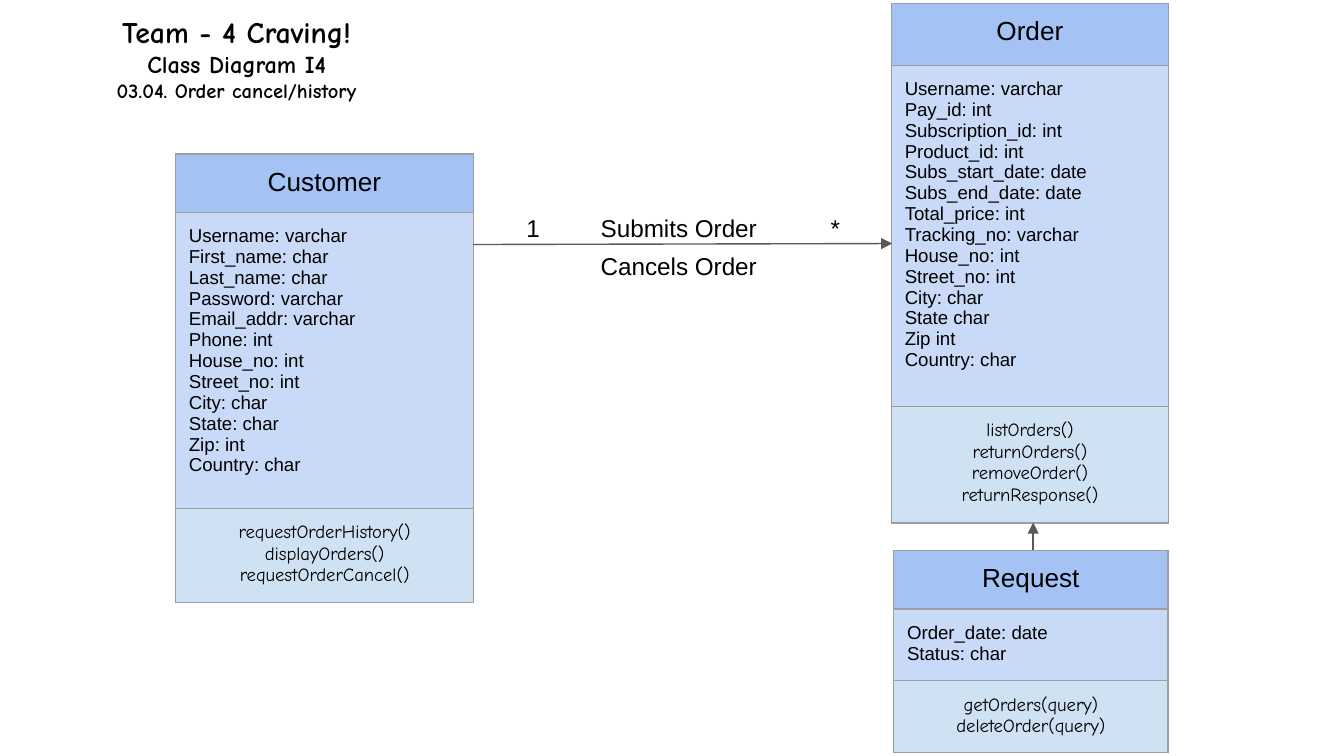
from lxml import etree
from pptx import Presentation
from pptx.dml.color import RGBColor
from pptx.enum.shapes import MSO_CONNECTOR
from pptx.enum.text import PP_ALIGN
from pptx.oxml.ns import qn
from pptx.util import Pt

STRAIGHT = MSO_CONNECTOR.STRAIGHT
LEFT, CENTER = PP_ALIGN.LEFT, PP_ALIGN.CENTER

BLACK = RGBColor(0x00, 0x00, 0x00)
HEADER_BLUE = RGBColor(0xA4, 0xC2, 0xF4)
FIELD_BLUE = RGBColor(0xC9, 0xDA, 0xF8)
METHOD_BLUE = RGBColor(0xCF, 0xE2, 0xF3)
BORDER_GRAY = RGBColor(0x9E, 0x9E, 0x9E)
ARROW_GRAY = RGBColor(0x59, 0x59, 0x59)

SANS, COMIC = "Arial", "Comic Neue"
INSET = Pt(7.2)
LABEL_TABS = (25, 103, 187)

CUSTOMER_FIELDS = [
    "Username: varchar", "First_name: char", "Last_name: char",
    "Password: varchar", "Email_addr: varchar", "Phone: int",
    "House_no: int", "Street_no: int", "City: char", "State: char",
    "Zip: int", "Country: char",
]
CUSTOMER_METHODS = ["requestOrderHistory()", "displayOrders()", "requestOrderCancel()"]
ORDER_FIELDS = [
    "Username: varchar", "Pay_id: int", "Subscription_id: int",
    "Product_id: int", "Subs_start_date: date", "Subs_end_date: date",
    "Total_price: int", "Tracking_no: varchar", "House_no: int",
    "Street_no: int", "City: char", "State char", "Zip int", "Country: char",
]
ORDER_METHODS = ["listOrders()", "returnOrders()", "removeOrder()", "returnResponse()"]
REQUEST_FIELDS = ["Order_date: date", "Status: char"]
REQUEST_METHODS = ["getOrders(query)", "deleteOrder(query)"]


def write_line(paragraph, text, size, font_name, align, bold=False):
    paragraph.text = text
    paragraph.alignment = align
    font = paragraph.font
    font.size, font.name, font.bold = Pt(size), font_name, bold
    font.color.rgb = BLACK


def add_paragraph(frame, index):
    return frame.add_paragraph() if index else frame.paragraphs[0]


def add_text_frame(slide, left, top, width, height):
    frame = slide.shapes.add_textbox(Pt(left), Pt(top), Pt(width), Pt(height)).text_frame
    frame.word_wrap = True
    frame.margin_left = frame.margin_right = INSET
    frame.margin_top = frame.margin_bottom = INSET
    return frame


def add_heading(slide):
    frame = add_text_frame(slide, 18, 0, 217.5, 62)
    lines = [("Team - 4 Craving!", 16), ("Class Diagram I4", 13),
             ("03.04. Order cancel/history", 11)]
    for index, (text, size) in enumerate(lines):
        write_line(add_paragraph(frame, index), text, size, COMIC, CENTER, True)


def add_relation_label(slide, top, text):
    label = add_text_frame(slide, 253.5, top, 224.5, 29.5).paragraphs[0]
    write_line(label, text, 13, SANS, LEFT)
    tab_list = etree.Element(qn("a:tabLst"))
    for position in LABEL_TABS:
        etree.SubElement(tab_list, qn("a:tab"), pos=str(Pt(position)), algn="ctr")
    label._p.get_or_add_pPr().insert(0, tab_list)


def add_borders(cell):
    properties = cell._tc.get_or_add_tcPr()
    for index, side in enumerate(("a:lnL", "a:lnR", "a:lnT", "a:lnB")):
        border = etree.Element(qn(side), w=str(Pt(0.75)))
        fill = etree.SubElement(border, qn("a:solidFill"))
        etree.SubElement(fill, qn("a:srgbClr"), val=str(BORDER_GRAY))
        properties.insert(index, border)


def add_class(slide, left, top, width, row_heights, name, fields, methods):
    sections = [
        ([name], 14, SANS, CENTER, HEADER_BLUE),
        (fields, 10, SANS, LEFT, FIELD_BLUE),
        (methods, 10, COMIC, CENTER, METHOD_BLUE),
    ]
    table = slide.shapes.add_table(
        len(sections), 1, Pt(left), Pt(top), Pt(width), Pt(sum(row_heights))).table
    table.first_row = table.horz_banding = False
    for row, (lines, size, font_name, align, color) in enumerate(sections):
        table.rows[row].height = Pt(row_heights[row])
        cell = table.cell(row, 0)
        cell.margin_left = cell.margin_right = INSET
        cell.margin_top = cell.margin_bottom = INSET
        cell.fill.solid()
        cell.fill.fore_color.rgb = color
        add_borders(cell)
        for index, text in enumerate(lines):
            write_line(add_paragraph(cell.text_frame, index), text, size, font_name, align)


def add_arrow(slide, x1, y1, x2, y2):
    arrow = slide.shapes.add_connector(STRAIGHT, Pt(x1), Pt(y1), Pt(x2), Pt(y2))
    arrow.line.color.rgb = ARROW_GRAY
    arrow.line.width = Pt(0.75)
    etree.SubElement(arrow.line._get_or_add_ln(), qn("a:tailEnd"), type="triangle")
    etree.SubElement(arrow._element.spPr, qn("a:effectLst"))


def main():
    prs = Presentation()
    prs.slide_width, prs.slide_height = Pt(720), Pt(405)
    slide = prs.slides.add_slide(prs.slide_layouts[6])

    add_heading(slide)
    add_class(slide, 94, 82.5, 159.75, (30, 148.5, 48.5),
              "Customer", CUSTOMER_FIELDS, CUSTOMER_METHODS)
    add_class(slide, 477.5, 2, 148.5, (33, 182, 62.5),
              "Order", ORDER_FIELDS, ORDER_METHODS)
    add_class(slide, 478.75, 295, 147, (30, 36.5, 37.5),
              "Request", REQUEST_FIELDS, REQUEST_METHODS)
    add_arrow(slide, 553.5, 294.5, 553.5, 280)
    add_relation_label(slide, 107.25, "\t1\tSubmits Order\t*")
    add_arrow(slide, 253.5, 131, 478, 130.5)
    add_relation_label(slide, 127.5, "\t\tCancels Order")

    prs.save("out.pptx")


if __name__ == "__main__":
    main()
